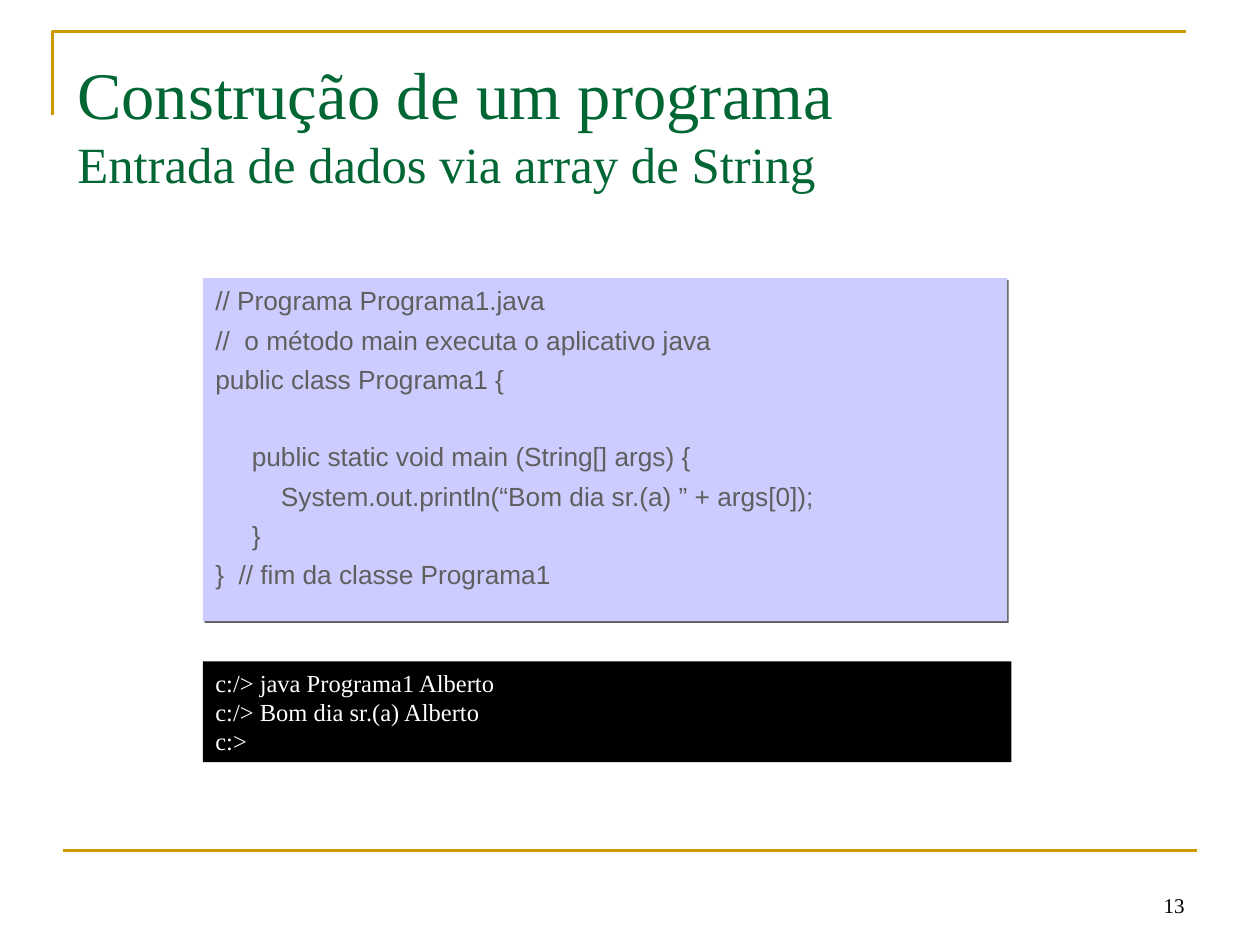
from lxml.etree import SubElement
from pptx import Presentation
from pptx.dml.color import RGBColor
from pptx.enum.shapes import MSO_CONNECTOR as Connector, MSO_SHAPE as Shape
from pptx.enum.text import MSO_ANCHOR as Anchor, MSO_AUTO_SIZE as AutoSize, PP_ALIGN as Align
from pptx.oxml.ns import qn
from pptx.util import Pt

SERIF, SANS = "Times New Roman", "Arial"
GOLD, GREEN, GREY = "CC9900", "006633", "5F5F5F"
LAVENDER, BLACK, WHITE = "CCCCFF", "000000", "FFFFFF"
LINE_GAP, BLANK_LINE = 4.5, 21.7
CODE = [
    ("// Programa Programa1.java", 0, 0),
    ("//  o método main executa o aplicativo java", 0, 0),
    ("public class Programa1 {", 0, 0),
    ("public static void main (String[] args) {", 20.8, 1),
    ("System.out.println(“Bom dia sr.(a) ” + args[0]);", 37.5, 0),
    ("}", 20.8, 0),
    ("}  // fim da classe Programa1", 0, 0),
]
CONSOLE = ["c:/> java Programa1 Alberto", "c:/> Bom dia sr.(a) Alberto", "c:>"]


def color(value):
    return RGBColor.from_string(value)


def format_span(span, size, font, ink):
    span.font.size = Pt(size)
    span.font.name = font
    span.font.color.rgb = color(ink)


def format_para(para, size, font, ink, align=Align.LEFT):
    para.alignment = align
    for span in para.runs:
        format_span(span, size, font, ink)


def set_gold_line(shape):
    shape.line.color.rgb = color(GOLD)
    shape.line.width = Pt(1.5)


def add_frame_lines(page):
    builder = page.shapes.build_freeform(Pt(30), Pt(66))
    builder.add_line_segments([(Pt(30), Pt(18)), (Pt(678), Pt(18))], close=False)
    corner = builder.convert_to_shape()
    corner.fill.background()
    corner.shadow.inherit = False
    set_gold_line(corner)

    rule = page.shapes.add_connector(Connector.STRAIGHT, Pt(36), Pt(486), Pt(684), Pt(486))
    set_gold_line(rule)
    SubElement(rule.element.spPr, qn("a:effectLst"))


def add_title(page, heading, subheading):
    title = page.shapes.title
    title.left, title.top, title.width, title.height = Pt(37), Pt(37.5), Pt(648), Pt(66)
    frame = title.text_frame
    frame.text = f"{heading}\v{subheading}"
    frame.auto_size = AutoSize.NONE
    frame.vertical_anchor = Anchor.MIDDLE
    para = frame.paragraphs[0]
    para.alignment = Align.LEFT
    for span, size in zip(para.runs, (38, 29)):
        format_span(span, size, SERIF, GREEN)


def add_panel(page, top, width, height, fill, lines):
    box = page.shapes.add_shape(Shape.RECTANGLE, Pt(116), Pt(top), Pt(width), Pt(height))
    box.fill.solid()
    box.fill.fore_color.rgb = color(fill)
    box.line.fill.background()
    box.shadow.inherit = False
    box.text_frame.text = "\n".join(lines)
    box.text_frame.word_wrap = True
    box.text_frame.vertical_anchor = Anchor.TOP
    return box


def add_hard_shadow(box, ink):
    effects = box.element.spPr.find(qn("a:effectLst"))
    shadow = SubElement(effects, qn("a:outerShdw"), blurRad="0", dist=str(Pt(1.4)),
                        dir="2700000", algn="ctr", rotWithShape="0")
    SubElement(shadow, qn("a:srgbClr"), val=ink)


def add_code(page):
    box = add_panel(page, 159, 459.5, 196, LAVENDER, [text for text, _, _ in CODE])
    add_hard_shadow(box, GREY)
    for para, (_, indent, blanks) in zip(box.text_frame.paragraphs, CODE):
        format_para(para, 15, SANS, GREY)
        para.space_before = Pt(LINE_GAP + blanks * BLANK_LINE)
        properties = para._p.get_or_add_pPr()
        properties.set("marL", str(Pt(indent)))
        properties.set("indent", "0")


def add_console(page):
    box = add_panel(page, 378, 462, 57.6, BLACK, CONSOLE)
    box.text_frame.auto_size = AutoSize.SHAPE_TO_FIT_TEXT
    for para in box.text_frame.paragraphs:
        format_para(para, 14, SERIF, WHITE)


def add_page_number(page, number):
    box = page.shapes.add_textbox(Pt(516), Pt(492), Pt(168), Pt(36))
    frame = box.text_frame
    frame.text = number
    frame.word_wrap = True
    frame.vertical_anchor = Anchor.BOTTOM
    format_para(frame.paragraphs[0], 12, SERIF, BLACK, Align.RIGHT)


def main():
    deck = Presentation()
    deck.slide_width, deck.slide_height = Pt(720), Pt(540)
    page = deck.slides.add_slide(deck.slide_layouts.get_by_name("Title Only"))
    add_frame_lines(page)
    add_page_number(page, "13")
    add_code(page)
    add_title(page, "Construção de um programa", "Entrada de dados via array de String")
    add_console(page)
    deck.save("out.pptx")


if __name__ == "__main__":
    main()
